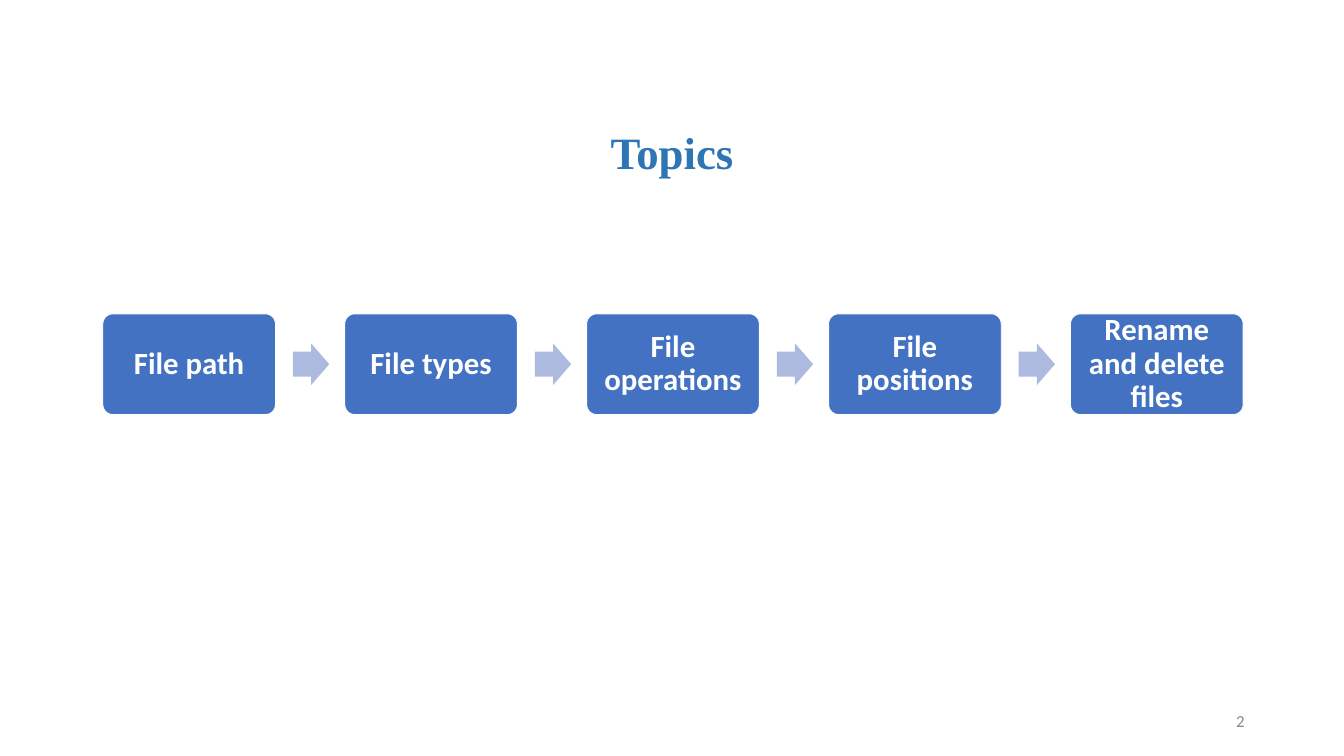
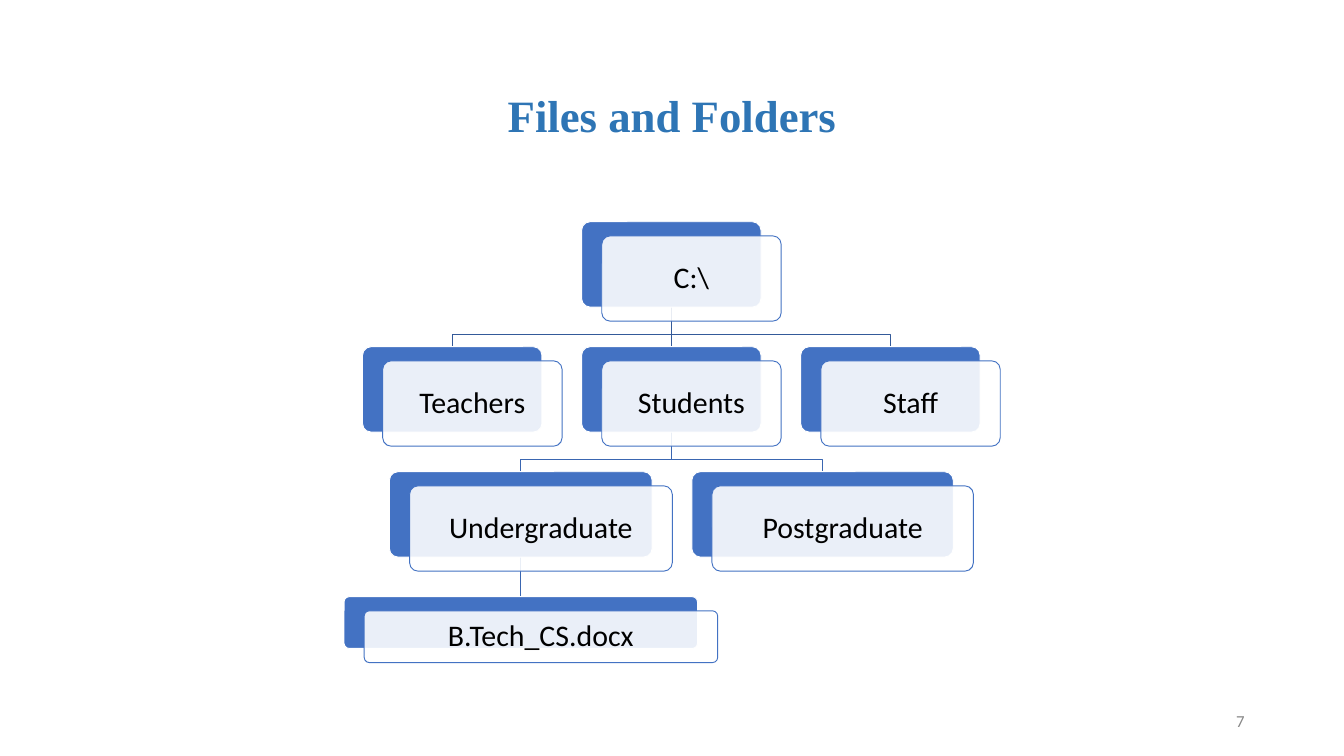
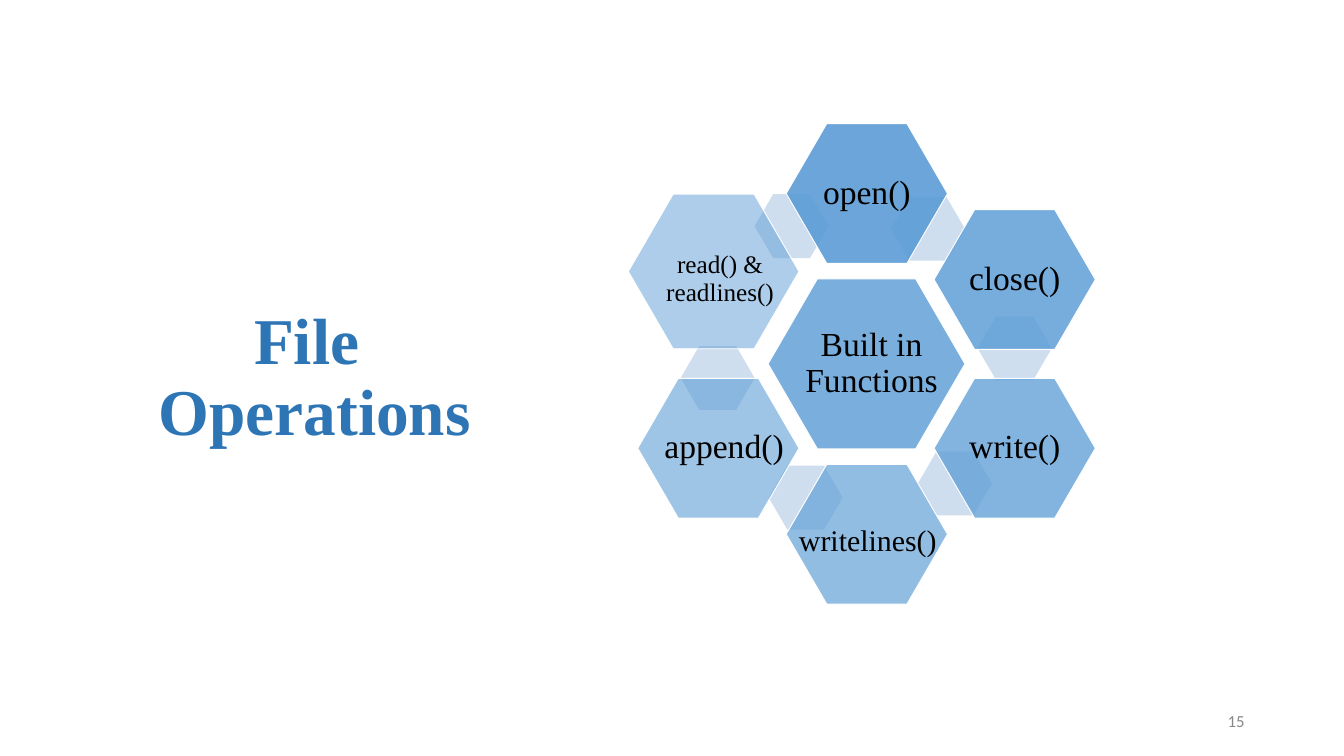
from lxml import etree
from pptx import Presentation
from pptx.dml.color import RGBColor
from pptx.enum.shapes import MSO_CONNECTOR, MSO_SHAPE
from pptx.enum.text import MSO_ANCHOR, MSO_AUTO_SIZE, PP_ALIGN
from pptx.oxml.ns import qn
from pptx.util import Inches, Pt

WHITE = RGBColor(0xFF, 0xFF, 0xFF)
BLACK = RGBColor(0, 0, 0)
GREY = RGBColor(0x88, 0x88, 0x88)
TITLE_BLUE = RGBColor(0x2E, 0x75, 0xB5)
BOX_BLUE = RGBColor(0x43, 0x72, 0xC3)
ARROW_BLUE = RGBColor(0xAB, 0xBA, 0xDE)
BRANCH_DARK = RGBColor(0x34, 0x5A, 0x99)
BRANCH_BLUE = RGBColor(0x3A, 0x66, 0xB1)
HEX_BLUE = RGBColor(0x59, 0x9B, 0xD5)
HEX_PALE = RGBColor(0xCF, 0xDE, 0xEF)

SERIF, SANS = "Times New Roman", "Calibri"
ROUNDED, ARROW, HEXAGON = (MSO_SHAPE.ROUNDED_RECTANGLE, MSO_SHAPE.RIGHT_ARROW,
                           MSO_SHAPE.HEXAGON)
STRAIGHT = MSO_CONNECTOR.STRAIGHT
MIDDLE, NO_FIT = MSO_ANCHOR.MIDDLE, MSO_AUTO_SIZE.NONE
CENTER, RIGHT = PP_ALIGN.CENTER, PP_ALIGN.RIGHT
TITLE_ONLY = 5


def inches(values):
    return [Inches(v) for v in values]


class Deck:
    """Holds the shared style and the current slide."""

    def __init__(self):
        self.prs = Presentation()
        self.prs.slide_width, self.prs.slide_height = inches((20, 11.25))
        self.slide = None

    def new_slide(self, title, at, number, size=48):
        self.slide = self.prs.slides.add_slide(self.prs.slide_layouts[TITLE_ONLY])
        sp = self.slide.shapes.title
        sp.left, sp.top, sp.width, sp.height = inches(at)
        self.set_text(sp, title, size, SERIF, TITLE_BLUE, bold=True)
        self.text((14.12, 10.43, 4.5, 0.6), str(number), 18, SANS, GREY,
                  align=RIGHT, spacing=1.0)

    def set_text(self, sp, text, size, font, color, bold=False, align=CENTER,
                 spacing=0.9, insets=(0.1, 0.05)):
        tf = sp.text_frame
        tf.word_wrap = True
        tf.auto_size = NO_FIT
        tf.vertical_anchor = MIDDLE
        tf.margin_left = tf.margin_right = Inches(insets[0])
        tf.margin_top = tf.margin_bottom = Inches(insets[1])
        p = tf.paragraphs[0]
        p.alignment = align
        p.line_spacing = spacing
        for i, line in enumerate(text.split("\n")):
            if i:
                p.add_line_break()
            r = p.add_run()
            r.text = line
            r.font.name, r.font.size, r.font.bold = font, Pt(size), bold
            r.font.color.rgb = color

    def text(self, at, text, size, font, color, **style):
        sp = self.slide.shapes.add_textbox(*inches(at))
        self.set_text(sp, text, size, font, color, **style)

    def shape(self, kind, at, fill, line=None, adj=(), alpha=None):
        sp = self.slide.shapes.add_shape(kind, *inches(at))
        sp.shadow.inherit = False
        for i, value in enumerate(adj):
            sp.adjustments[i] = value
        sp.fill.solid()
        sp.fill.fore_color.rgb = fill
        if alpha is not None:
            color = sp.element.spPr.find(qn("a:solidFill"))[0]
            etree.SubElement(color, qn("a:alpha"), val=str(alpha * 1000))
        if line is None:
            sp.line.fill.background()
        else:
            sp.line.color.rgb = line
            sp.line.width = Pt(1)
        return sp

    def box(self, at, fill=BOX_BLUE, line=WHITE, alpha=None):
        return self.shape(ROUNDED, at, fill, line, (0.1,), alpha)

    def hexagon(self, at, fill, line=None, alpha=None):
        return self.shape(HEXAGON, at, fill, line, (0.29,), alpha)

    def branch(self, x1, y1, x2, y2, color):
        """Line from a parent's bottom to a child's top, bent if needed."""
        if x1 == x2:
            sp = self.slide.shapes.add_connector(STRAIGHT, *inches((x1, y1, x2, y2)))
            etree.SubElement(sp.element.spPr, qn("a:effectLst"))
        else:
            bend = y2 - 0.19
            points = [inches(pt) for pt in ((x1, bend), (x2, bend), (x2, y2))]
            builder = self.slide.shapes.build_freeform(Inches(x1), Inches(y1))
            builder.add_line_segments(points, close=False)
            sp = builder.convert_to_shape()
            sp.shadow.inherit = False
            sp.fill.background()
        sp.line.color.rgb = color
        sp.line.width = Pt(1)


def topics(deck):
    deck.new_slide("Topics", (0, 1.72, 20, 1.17), 2)
    steps = ["File path", "File types", "File operations", "File positions",
             "Rename and delete files"]
    for i, step in enumerate(steps):
        x = 1.53 + 3.6 * i
        sp = deck.box((x, 4.67, 2.57, 1.5))
        deck.set_text(sp, step, 33, SANS, WHITE, bold=True, insets=(0.14, 0.14))
        if i < len(steps) - 1:
            deck.shape(ARROW, (x + 2.83, 5.11, 0.54, 0.62), ARROW_BLUE, adj=(0.6, 0.5))


def files_and_folders(deck):
    deck.new_slide("Files and Folders", (0, 0.79, 20, 1.93), 7)
    # name: (centre x, level, width, height, parent)
    nodes = {
        "C:\\": (9.99, 0, 2.67, 1.27, None),
        "Teachers": (6.73, 1, 2.67, 1.27, "C:\\"),
        "Students": (9.99, 1, 2.67, 1.27, "C:\\"),
        "Staff": (13.25, 1, 2.67, 1.27, "C:\\"),
        "Undergraduate": (7.75, 2, 3.91, 1.27, "Students"),
        "Postgraduate": (12.24, 2, 3.89, 1.27, "Students"),
        "B.Tech_CS.docx": (7.75, 3, 5.26, 0.77, "Undergraduate"),
    }
    tops = [3.3 + 1.86 * level for level in range(4)]

    # Branches lie behind the boxes
    for x, level, _, _, parent in nodes.values():
        if parent:
            px, plevel, _, pheight, _ = nodes[parent]
            deck.branch(px, tops[plevel] + pheight, x, tops[level],
                        BRANCH_DARK if level == 1 else BRANCH_BLUE)

    # Each node is a solid box with a translucent card in front
    for name, (x, level, w, h, _) in nodes.items():
        left, top = x - w / 2, tops[level]
        deck.box((left, top, w, h))
        card = deck.box((left + 0.3, top + 0.21, w, h), WHITE, BOX_BLUE, alpha=89)
        deck.set_text(card, name, 32, SANS, BLACK, insets=(0.13, 0.13))


def file_operations(deck):
    deck.new_slide("File \nOperations", (1.25, 3.79, 6.87, 3.7), 15, size=70)

    # Pale links between neighbours
    for x, y in ((11.23, 2.89), (10.13, 5.15), (13.26, 2.93), (14.55, 4.71),
                 (13.66, 6.72), (11.44, 6.93)):
        deck.hexagon((x, y, 1.1, 0.95), HEX_PALE)

    # Text, size, opacity, hexagon frame, text frame
    functions = [
        ("append()", 36, 58, (9.49, 5.63, 2.4, 2.08), (9.75, 5.97, 2.05, 1.39)),
        ("Built in Functions", 36, 80, (11.43, 4.15, 2.93, 2.53),
         (11.92, 4.57, 2.1, 1.69)),
        ("open()", 36, 89, (11.7, 1.84, 2.4, 2.08), (12.1, 2.19, 1.6, 1.39)),
        ("close()", 36, 82, (13.9, 3.12, 2.4, 2.08), (14.3, 3.46, 1.6, 1.39)),
        ("write()", 36, 74, (13.9, 5.63, 2.4, 2.08), (14.3, 5.97, 1.6, 1.39)),
        ("writelines()", 32, 65, (11.7, 6.91, 2.4, 2.08), (11.61, 7.37, 2.61, 1.39)),
        ("read() & readlines()", 27, 49, (9.35, 2.89, 2.54, 2.3),
         (9.74, 3.46, 1.95, 1.39)),
    ]
    for name, size, alpha, frame, text_frame in functions:
        deck.hexagon(frame, HEX_BLUE, WHITE, alpha)
        deck.text(text_frame, name, size, SERIF, BLACK, insets=(0.05, 0.05))


def main():
    deck = Deck()
    topics(deck)
    files_and_folders(deck)
    file_operations(deck)
    deck.prs.save("out.pptx")


if __name__ == "__main__":
    main()
